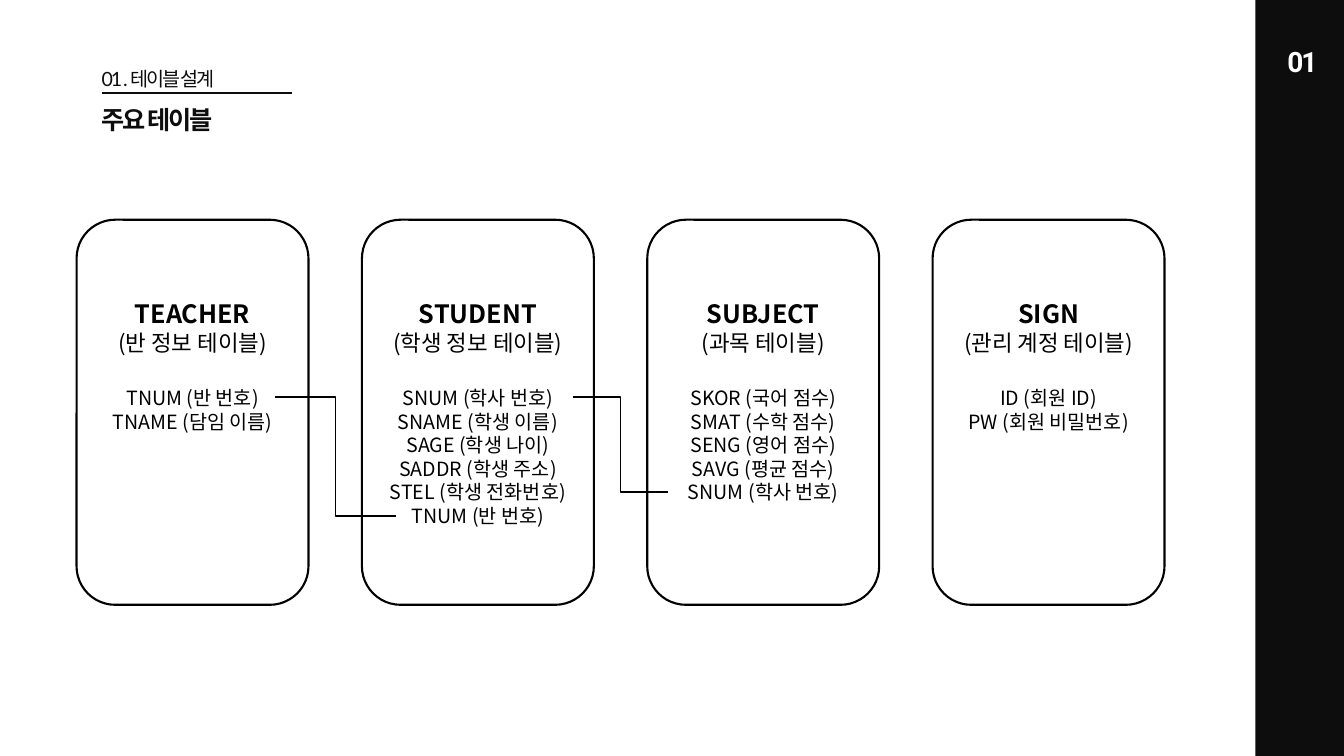
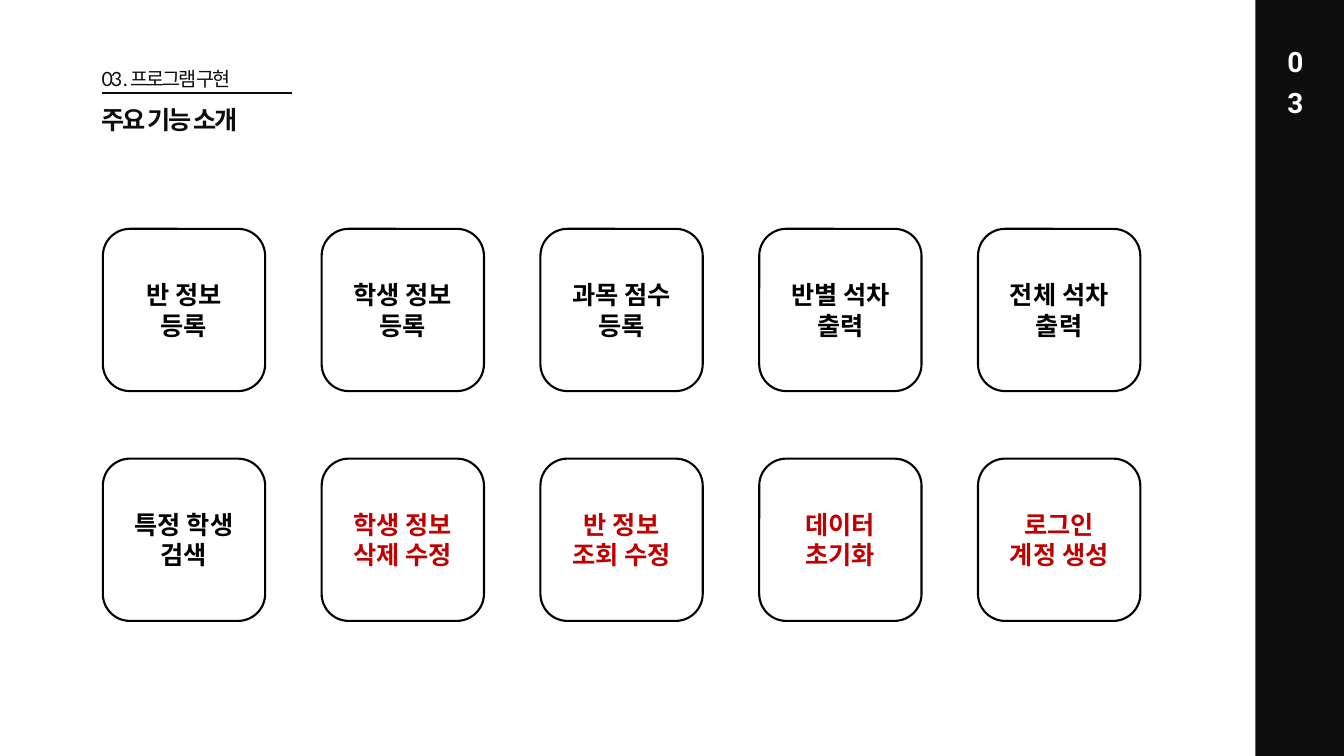
from lxml import etree
from pptx import Presentation
from pptx.dml.color import RGBColor
from pptx.enum.shapes import MSO_CONNECTOR as Link, MSO_SHAPE as Shape
from pptx.enum.text import MSO_ANCHOR as Anchor, MSO_AUTO_SIZE as AutoSize, PP_ALIGN as Align
from pptx.oxml.ns import qn
from pptx.util import Inches, Pt

INK = RGBColor(0x0D, 0x0D, 0x0D)
BLACK = RGBColor(0, 0, 0)
WHITE = RGBColor(0xFF, 0xFF, 0xFF)
RED = RGBColor(0xC0, 0, 0)
HEADING_FONT, NUMBER_FONT, CARD_FONT = "Lato", "Roboto", "Noto Sans CJK KR"

TABLES = [
    ("TEACHER", "(반 정보 테이블)", ["TNUM (반 번호)", "TNAME (담임 이름)"]),
    ("STUDENT", "(학생 정보 테이블)",
     ["SNUM (학사 번호)", "SNAME (학생 이름)", "SAGE (학생 나이)",
      "SADDR (학생 주소)", "STEL (학생 전화번호)", "TNUM (반 번호)"]),
    ("SUBJECT", "(과목 테이블)",
     ["SKOR (국어 점수)", "SMAT (수학 점수)", "SENG (영어 점수)",
      "SAVG (평균 점수)", "SNUM (학사 번호)"]),
    ("SIGN", "(관리 계정 테이블)", ["ID (회원 ID)", "PW (회원 비밀번호)"]),
]
KEY_LINKS = [(2.73, 3.94, 3.93, 5.12), (5.68, 3.94, 6.63, 4.88)]

FEATURES = [
    [("반 정보", "등록", BLACK), ("학생 정보", "등록", BLACK), ("과목 점수", "등록", BLACK),
     ("반별 석차", "출력", BLACK), ("전체 석차", "출력", BLACK)],
    [("특정 학생", "검색", BLACK), ("학생 정보", "삭제 수정", RED), ("반 정보", "조회 수정", RED),
     ("데이터", "초기화", RED), ("로그인", "계정 생성", RED)],
]


def style_font(font, name, size, color, bold=False):
    font.name, font.size, font.bold = name, Pt(size), bold
    font.color.rgb = color


def add_label(page, box, text, font_name, size, color, bold=False):
    """Place one tightly spaced line that does not wrap."""
    label = page.shapes.add_textbox(*map(Inches, box))
    frame = label.text_frame
    frame.word_wrap = False
    frame.auto_size = AutoSize.SHAPE_TO_FIT_TEXT
    frame.text = text
    para = frame.paragraphs[0]
    para.line_spacing = 1.2
    span = para.runs[0]
    style_font(span.font, font_name, size, color, bold)
    span.font._element.set("spc", "-150")


def add_line(page, kind, ends, color, width):
    line = page.shapes.add_connector(kind, *map(Inches, ends))
    line.line.color.rgb = color
    line.line.width = Pt(width)
    etree.SubElement(line._element.spPr, qn("a:effectLst"))


def add_card(page, box, lines):
    """Draw a rounded outline holding centred (text, size, bold, color) lines."""
    card = page.shapes.add_shape(Shape.ROUNDED_RECTANGLE, *map(Inches, box))
    card.shadow.inherit = False
    card.fill.solid()
    card.fill.fore_color.rgb = WHITE
    card.line.color.rgb = BLACK
    card.line.width = Pt(1.5)
    frame = card.text_frame
    frame.word_wrap = True
    frame.vertical_anchor = Anchor.MIDDLE
    frame.text = "\n".join(text for text, *_ in lines)
    for para, (_, size, bold, color) in zip(frame.paragraphs, lines):
        para.alignment = Align.CENTER
        span = para.runs[0]
        style_font(span.font, CARD_FONT, size, color, bold)
        east_asian = etree.Element(qn("a:ea"), typeface=CARD_FONT)
        span.font._element.find(qn("a:latin")).addnext(east_asian)
    return frame


def add_page(deck, number, number_width, section, title):
    """Start a slide with the side band, page number and heading."""
    page = deck.slides.add_slide(deck.slide_layouts[6])
    band = page.shapes.add_shape(Shape.RECTANGLE, Inches(12.45), 0, Inches(0.88), deck.slide_height)
    band.shadow.inherit = False
    band.fill.solid()
    band.fill.fore_color.rgb = INK
    band.line.fill.background()
    add_label(page, (12.67, 0.33, number_width, 0.47), number, NUMBER_FONT, 20, WHITE, True)
    add_label(page, (0.91, 0.57, 1.55, 0.36), section, HEADING_FONT, 14, INK)
    add_line(page, Link.STRAIGHT, (1.01, 0.92, 2.9, 0.92), INK, 1.5)
    add_label(page, (0.91, 0.93, 1.6, 0.43), title, HEADING_FONT, 18, INK, True)
    return page


def add_table_cards(page, left, top):
    width, height, pitch = 2.3, 3.82, 2.83
    for column, (name, caption, fields) in enumerate(TABLES):
        lines = [(name, 18, True, BLACK), (caption, 16, False, BLACK)]
        lines += [(field, 14, False, BLACK) for field in fields]
        frame = add_card(page, (left + column * pitch, top, width, height), lines)
        frame.vertical_anchor = Anchor.TOP
        frame.margin_top = Inches(0.67)
        frame.paragraphs[2].space_before = Pt(21.6)


def add_feature_grid(page, left, top):
    side, column_pitch, row_pitch = 1.61, 2.17, 2.28
    for row, features in enumerate(FEATURES):
        for column, (subject, action, color) in enumerate(features):
            box = (left + column * column_pitch, top + row * row_pitch, side, side)
            add_card(page, box, [(subject, 18, True, color), (action, 18, True, color)])


def main():
    deck = Presentation()
    deck.slide_width, deck.slide_height = Inches(13.33), Inches(7.5)

    tables_page = add_page(deck, "01", 0.51, "01 . 테이블 설계", "주요 테이블")
    add_table_cards(tables_page, 0.76, 2.18)
    for ends in KEY_LINKS:
        add_line(tables_page, Link.ELBOW, ends, BLACK, 1)

    features_page = add_page(deck, "03", 0.49, "03 . 프로그램 구현", "주요 기능 소개")
    add_feature_grid(features_page, 1.02, 2.27)

    deck.save("out.pptx")


if __name__ == "__main__":
    main()
